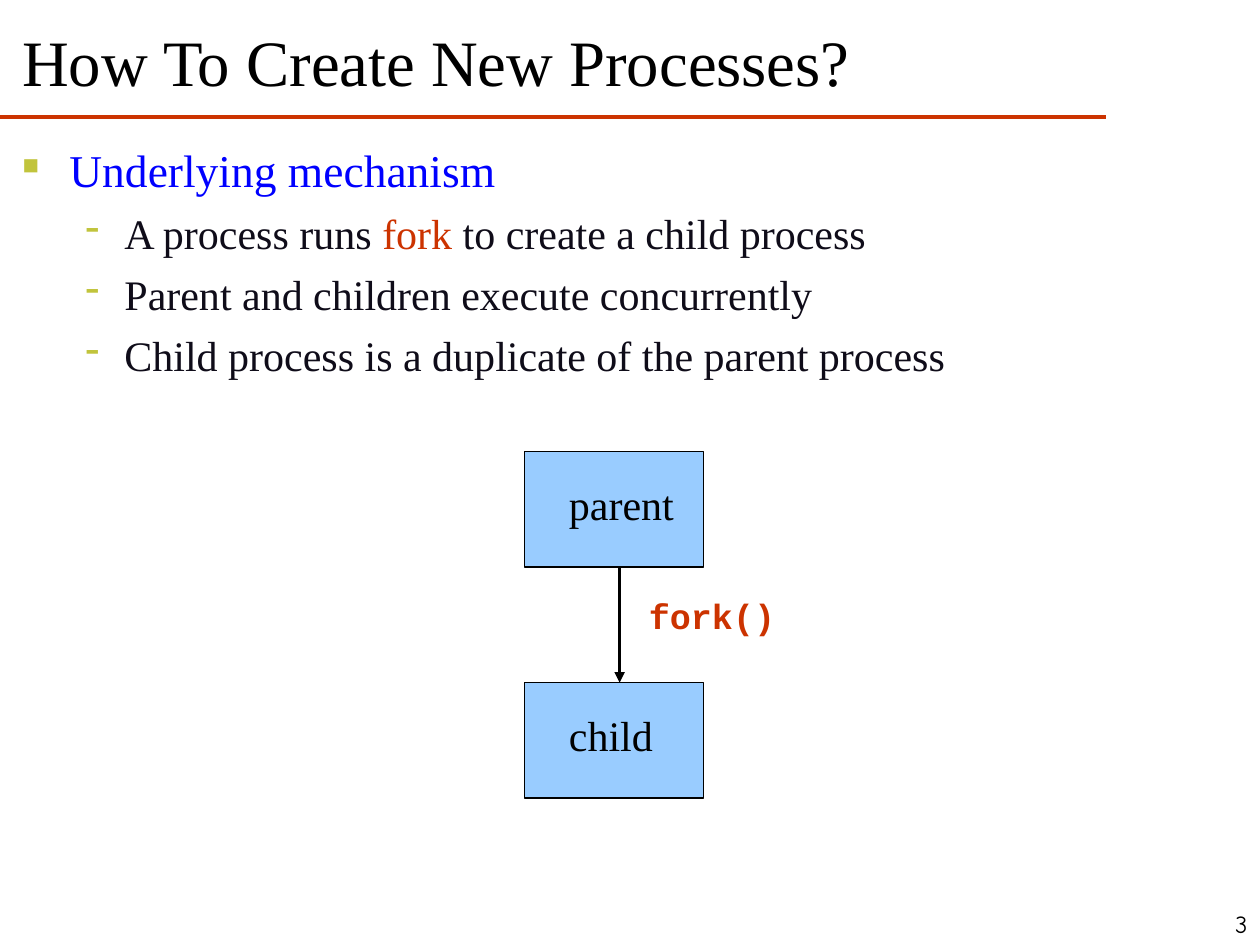
from lxml.etree import SubElement
from pptx import Presentation
from pptx.dml.color import RGBColor
from pptx.enum.shapes import MSO_CONNECTOR, MSO_SHAPE
from pptx.enum.text import MSO_ANCHOR, PP_ALIGN
from pptx.oxml.ns import qn
from pptx.util import Cm, Pt

SERIF = "Times New Roman"
BLACK, RED, BLUE = "000000", "CC3300", "0000FF"
DARK, OLIVE, LIGHT_BLUE = "0F0C19", "C1C43C", "99CCFF"


def color(hex_string):
    return RGBColor.from_string(hex_string)


def style(font, size, hex_string, name=SERIF, bold=False):
    font.size = Pt(size)
    font.name = name
    font.bold = bold
    font.color.rgb = color(hex_string)


def add_frame(slide, left, top, width, height, anchor=MSO_ANCHOR.TOP, wrap=True):
    box = slide.shapes.add_textbox(Cm(left), Cm(top), Cm(width), Cm(height))
    frame = box.text_frame
    frame.word_wrap = wrap
    frame.vertical_anchor = anchor
    return frame


def add_label(slide, text, place, size, hex_string=BLACK, name=SERIF,
              bold=False, align=PP_ALIGN.LEFT, **frame_options):
    paragraph = add_frame(slide, *place, **frame_options).paragraphs[0]
    paragraph.text = text
    paragraph.alignment = align
    style(paragraph.font, size, hex_string, name, bold)


def set_bullet(paragraph, character, margin, indent, percent=100):
    properties = paragraph._p.get_or_add_pPr()
    properties.set("marL", str(Cm(margin)))
    properties.set("indent", str(Cm(-indent)))
    bullet_color = SubElement(properties, qn("a:buClr"))
    SubElement(bullet_color, qn("a:srgbClr"), val=OLIVE)
    SubElement(properties, qn("a:buSzPct"), val=str(percent * 1000))
    SubElement(properties, qn("a:buChar"), char=character)


def add_bullets(slide):
    frame = add_frame(slide, 0.2, 2.74, 24.77, 15.67)
    heading = frame.paragraphs[0]
    heading.text = "Underlying mechanism"
    heading.space_before = Pt(6.5)
    style(heading.font, 26, BLUE)
    set_bullet(heading, "■", 0.95, 0.95, 50)

    points = [
        [("A process runs ", DARK), ("fork", RED), (" to create a child process", DARK)],
        [("Parent and children execute concurrently", DARK)],
        [("Child process is a duplicate of the parent process", DARK)],
    ]
    for parts in points:
        paragraph = frame.add_paragraph()
        paragraph.level = 1
        paragraph.space_before = Pt(6)
        set_bullet(paragraph, "-", 2.06, 0.79)
        for text, hex_string in parts:
            run = paragraph.add_run()
            run.text = text
            style(run.font, 24, hex_string)


def add_line(slide, start, end, hex_string, arrow=False):
    points = [Cm(value) for value in (*start, *end)]
    connector = slide.shapes.add_connector(MSO_CONNECTOR.STRAIGHT, *points)
    connector.line.color.rgb = color(hex_string)
    connector.line.width = Pt(2)
    if arrow:
        SubElement(connector.line._get_or_add_ln(), qn("a:tailEnd"), type="triangle")
    SubElement(connector._element.spPr, qn("a:effectLst"))


def add_process(slide, name, top):
    box = slide.shapes.add_shape(
        MSO_SHAPE.RECTANGLE, Cm(10.58), Cm(top), Cm(3.6), Cm(2.33))
    box.shadow.inherit = False
    box.fill.solid()
    box.fill.fore_color.rgb = color(LIGHT_BLUE)
    box.line.color.rgb = color(BLACK)
    box.line.width = Pt(0.75)
    add_label(slide, name, (11.22, top + 0.42, 2.62, 1.27), 24)


def main():
    presentation = Presentation()
    presentation.slide_width = Cm(25.4)
    presentation.slide_height = Cm(19.05)
    slide = presentation.slides.add_slide(presentation.slide_layouts[6])

    # Rule, slide number and title
    add_line(slide, (0, 2.36), (22.3, 2.36), RED)
    add_label(slide, "3", (24.56, 18.21, 0.84, 0.84), 14, name="Comic Neue",
              align=PP_ALIGN.RIGHT, anchor=MSO_ANCHOR.MIDDLE, wrap=False)
    add_label(slide, "How To Create New Processes?", (0.2, 0.48, 24.56, 1.65), 37,
              anchor=MSO_ANCHOR.BOTTOM)

    # Bulleted text
    add_bullets(slide)

    # Fork diagram
    add_process(slide, "parent", 9.1)
    add_process(slide, "child", 13.76)
    add_line(slide, (12.49, 11.43), (12.49, 13.76), BLACK, arrow=True)
    add_label(slide, "fork()", (12.83, 11.86, 3.05, 1.12), 20, RED, "Courier New",
              bold=True, align=PP_ALIGN.CENTER, wrap=False)

    presentation.save("out.pptx")


if __name__ == "__main__":
    main()
